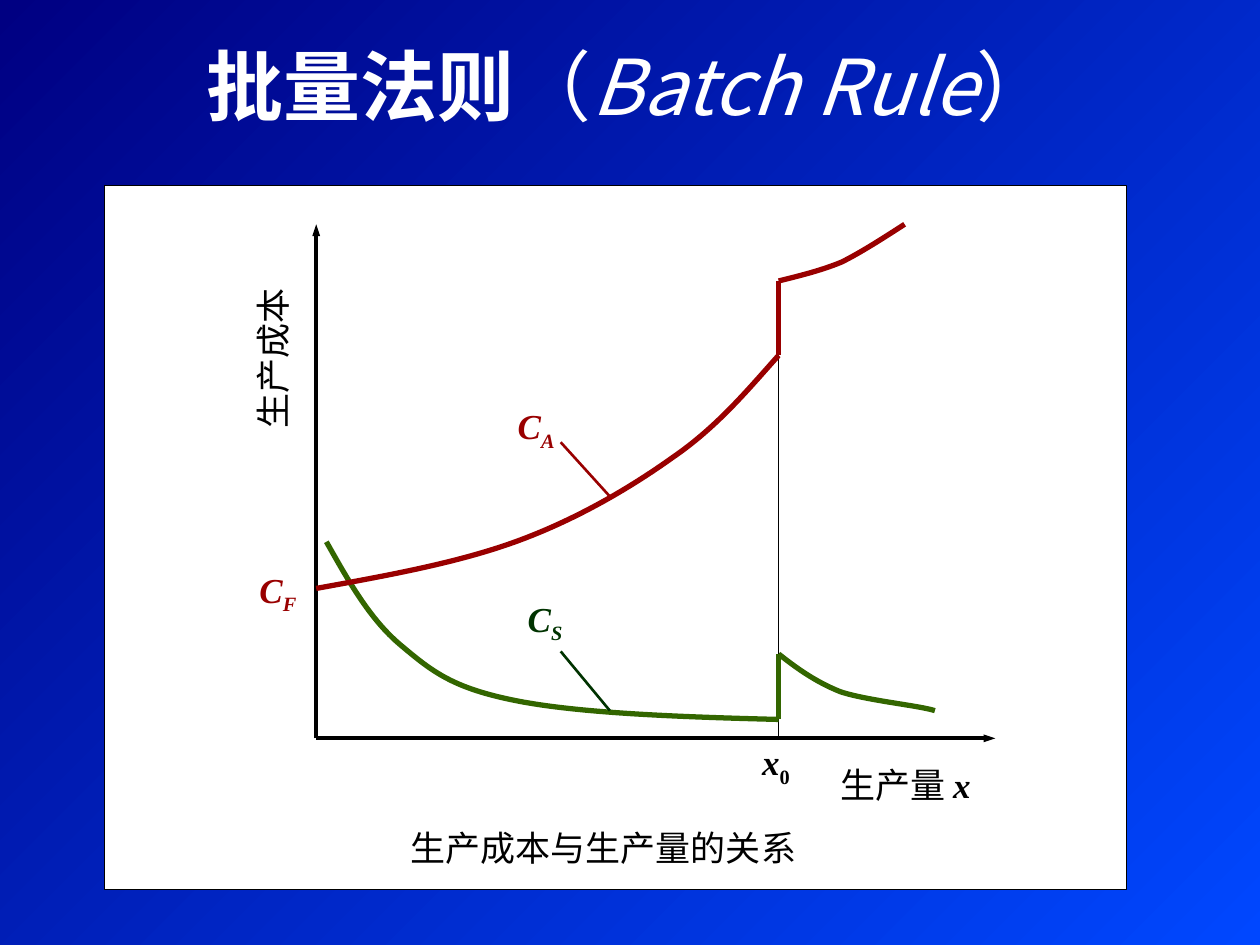
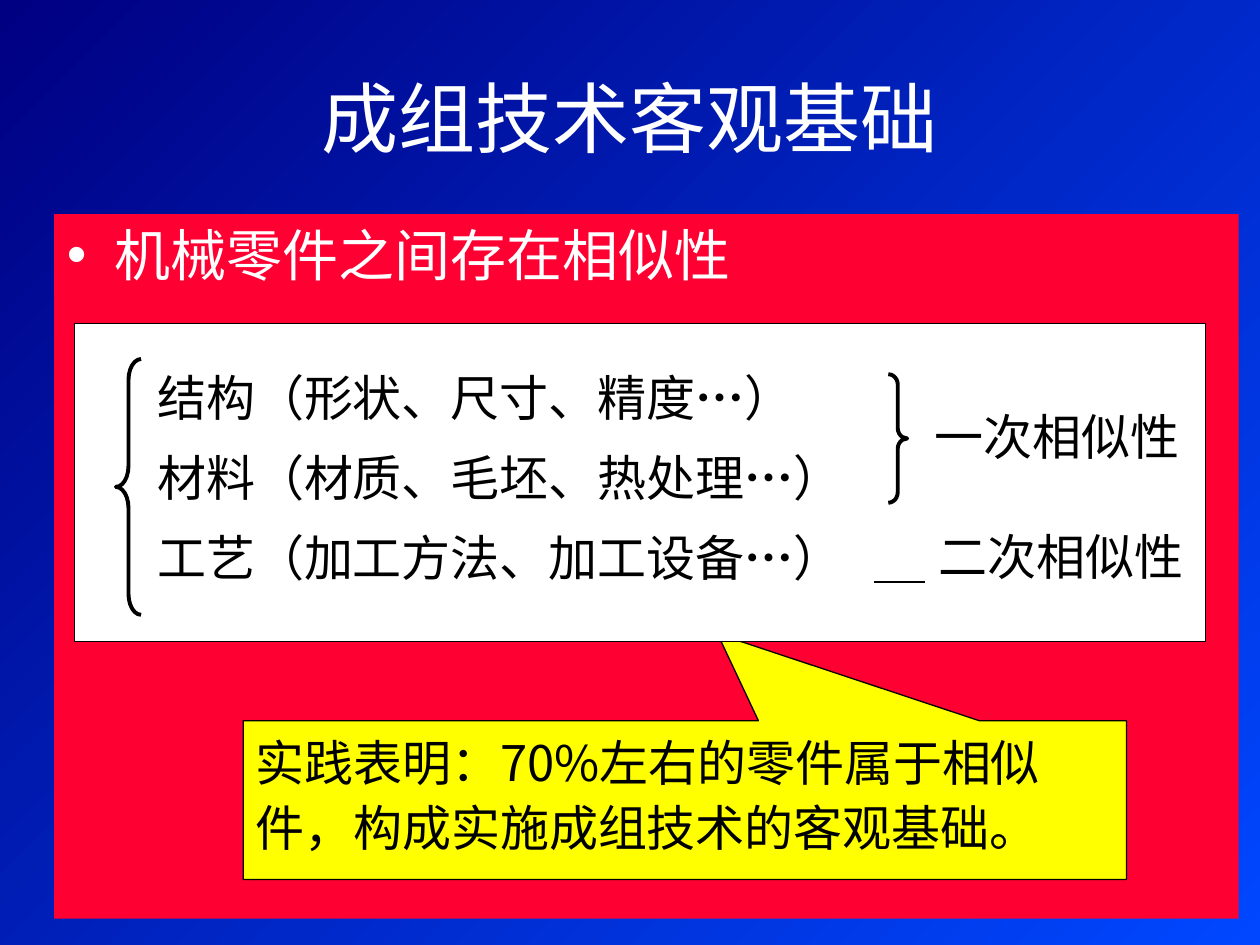
from lxml.etree import SubElement
from pptx import Presentation
from pptx.dml.color import RGBColor
from pptx.enum.shapes import MSO_CONNECTOR, MSO_SHAPE
from pptx.enum.text import MSO_ANCHOR, MSO_AUTO_SIZE, PP_ALIGN
from pptx.oxml.ns import qn
from pptx.util import Inches, Pt

NAVY = RGBColor(0x00, 0x00, 0x82)
BLUE = RGBColor(0x00, 0x47, 0xFF)
WHITE = RGBColor(0xFF, 0xFF, 0xFF)
BLACK = RGBColor(0x00, 0x00, 0x00)
RED = RGBColor(0xFF, 0x00, 0x33)
YELLOW = RGBColor(0xFF, 0xFF, 0x00)
WINE = RGBColor(0x99, 0x00, 0x00)
GREEN = RGBColor(0x33, 0x66, 0x00)
PINE = RGBColor(0x00, 0x33, 0x00)
HAN = "Noto Sans CJK SC"
ROMAN = "Times New Roman"


def write(par, runs, size, color=BLACK, name=ROMAN, align=None, spacing=None):
    for text, style in runs:
        run = par.add_run()
        run.text = text
        if "b" in style:
            run.font.bold = True
        if "i" in style:
            run.font.italic = True
        if "s" in style:
            run.font._element.set("baseline", "-25000")
    if align is not None:
        par.alignment = align
    if spacing:
        par.line_spacing = spacing
    par._p.get_or_add_pPr().set("hangingPunct", "0")
    font = par.font
    font.size, font.name, font.color.rgb = Pt(size), name, color
    SubElement(font._element, qn("a:ea"), typeface=HAN)


def place(shape, left, top, width, height):
    shape.left, shape.top = Inches(left), Inches(top)
    shape.width, shape.height = Inches(width), Inches(height)


def stroke(shape, color, width):
    shape.line.color.rgb = color
    shape.line.width = Pt(width)


def bend(shape):
    track = shape._element.find(".//" + qn("a:path"))
    lines = track.findall(qn("a:lnTo"))
    for k in range(0, len(lines), 3):
        cubic = SubElement(track, qn("a:cubicBezTo"))
        for line in lines[k:k + 3]:
            cubic.append(line[0])
            track.remove(line)


class Pane:
    def __init__(self, slide, left, top):
        self.shapes, self.left, self.top = slide.shapes, left, top

    def spot(self, x, y):
        return Inches(self.left + x), Inches(self.top + y)

    def shape(self, kind, x, y, width, height, fill=None, line=0.75, adjust=()):
        shape = self.shapes.add_shape(kind, *self.spot(x, y), Inches(width), Inches(height))
        shape.shadow.inherit = False
        if fill is None:
            shape.fill.background()
        else:
            shape.fill.solid()
            shape.fill.fore_color.rgb = fill
        stroke(shape, BLACK, line)
        for k, value in enumerate(adjust):
            shape.adjustments[k] = value
        return shape

    def text(self, x, y, width, height, lines, size, wrap=True, gap=0, **style):
        box = self.shapes.add_textbox(*self.spot(x, y), Inches(width), Inches(height))
        frame = box.text_frame
        frame.word_wrap = wrap
        for k, runs in enumerate(lines):
            par = frame.add_paragraph() if k else frame.paragraphs[0]
            if k:
                par.space_before = Pt(gap)
            write(par, runs, size, **style)
        return box

    def line(self, start, end, color=BLACK, width=0.75, arrow=False):
        line = self.shapes.add_connector(MSO_CONNECTOR.STRAIGHT,
                                         *self.spot(*start), *self.spot(*end))
        stroke(line, color, width)
        if arrow:
            SubElement(line.line._get_or_add_ln(), qn("a:tailEnd"), type="triangle", w="sm")
        SubElement(line._element.spPr, qn("a:effectLst"))

    def curve(self, start, points, color):
        pen = self.shapes.build_freeform(*self.spot(*start), scale=1)
        pen.add_line_segments([self.spot(*p) for p in points], close=False)
        shape = pen.convert_to_shape()
        bend(shape)
        shape.shadow.inherit = False
        shape.fill.background()
        stroke(shape, color, 3)


def title(slide, top, runs):
    head = slide.shapes.title
    place(head, 0.5, top, 9, 1.25)
    frame = head.text_frame
    frame.auto_size = MSO_AUTO_SIZE.NONE
    frame.vertical_anchor = MSO_ANCHOR.MIDDLE
    write(frame.paragraphs[0], runs, 44, WHITE, HAN, PP_ALIGN.CENTER)


def plot(slide, left, top):
    pane = Pane(slide, left, top)
    pane.shape(MSO_SHAPE.RECTANGLE, 0, 0, 8.11, 5.59, WHITE)
    zero, base, jump = 1.68, 4.39, 5.35
    pane.line((zero, base), (7.07, base), width=2.25, arrow=True)
    pane.line((zero, base), (zero, 0.31), width=2.25, arrow=True)
    pane.line((jump, 0.76), (jump, base))

    pane.curve((1.76, 2.83), [(1.93, 3.13), (2.1, 3.44), (2.35, 3.65),
                              (2.6, 3.86), (2.76, 3.99), (3.26, 4.09),
                              (3.76, 4.19), (4.55, 4.22), (jump, 4.24)], GREEN)
    pane.curve((jump, 3.72), [(5.49, 3.83), (5.64, 3.94), (5.84, 4.02),
                              (6.05, 4.09), (6.47, 4.13), (6.59, 4.17)], GREEN)
    pane.curve((zero, 3.2), [(2.23, 3.1), (2.79, 3), (3.26, 2.83),
                             (3.73, 2.66), (4.16, 2.41), (4.51, 2.16),
                             (4.86, 1.92), (5.1, 1.63), (jump, 1.35)], WINE)
    pane.curve((jump, 0.76), [(5.51, 0.72), (5.68, 0.68), (5.85, 0.61),
                              (6.01, 0.53), (6.18, 0.42), (6.35, 0.31)], WINE)
    for low, high, color in ((4.24, 3.72, GREEN), (1.35, 0.76, WINE)):
        pane.line((jump, low), (jump, high), color, 3)

    pane.text(5.74, 4.54, 1.5, 0.44, [[("生产量 ", ""), ("x", "bi")]], 20)
    side = pane.text(0.68, 1.08, 1.29, 0.45, [[("生产成本", "")]], 20, spacing=1.05)
    side.text_frame.margin_left = side.text_frame.margin_right = Inches(0.02)
    side.rotation = 270
    pane.text(5.12, 4.36, 0.42, 0.48, [[("x", "bi"), ("0", "bs")]], 20, wrap=False)
    pane.text(2.33, 5.04, 3.26, 0.44, [[("生产成本与生产量的关系", "")]], 20, wrap=False)

    for x, y, mark, color in ((3.15, 1.69, "A", WINE), (3.22, 3.22, "S", PINE),
                              (1.1, 2.99, "F", WINE)):
        pane.text(x, y, 0.55, 0.48, [[("C", "bi"), (mark, "bis")]], 20,
                  color=color, align=PP_ALIGN.CENTER)
    for low, high, color in ((2.47, 2.04, WINE), (4.17, 3.7, PINE)):
        pane.line((4.01, low), (3.62, high), color, 1.5)


def body(slide, left, top):
    shape = slide.placeholders[1]
    place(shape, left, top, 9.4, 5.59)
    shape.fill.solid()
    shape.fill.fore_color.rgb = RED
    frame = shape.text_frame
    frame.auto_size = MSO_AUTO_SIZE.NONE
    par = frame.paragraphs[0]
    par.space_before = Pt(0)
    write(par, [("机械零件之间存在相似性", "")], 32, WHITE, "Arial")


def callout(slide, left, top):
    wide, high = 7.01, 1.26
    shape = Pane(slide, left, top).shape(MSO_SHAPE.RECTANGULAR_CALLOUT, 0, 0, wide, high,
                                         YELLOW, adjust=(0.26 / wide, -1.32 / high))
    frame = shape.text_frame
    frame.word_wrap = True
    frame.vertical_anchor = MSO_ANCHOR.TOP
    words = "实践表明：70%左右的零件属于相似件，构成实施成组技术的客观基础。"
    write(frame.paragraphs[0], [(words, "")], 28, name=HAN, align=PP_ALIGN.LEFT, spacing=1.1)


def board(slide, left, top):
    pane = Pane(slide, left, top)
    pane.shape(MSO_SHAPE.RECTANGLE, 0, 0, 8.98, 2.52, WHITE)
    items = ("结构（形状、尺寸、精度", "材料（材质、毛坯、热处理", "工艺（加工方法、加工设备")
    pane.text(0.56, 0.25, 5.86, 1.89,
              [[(item, ""), ("…", "b"), ("）", "")] for item in items],
              28, gap=8.8, spacing=1.1)
    pane.shape(MSO_SHAPE.LEFT_BRACE, 0.33, 0.28, 0.2, 2.03, line=2.25, adjust=(0.83, 0.5))
    pane.shape(MSO_SHAPE.RIGHT_BRACE, 6.46, 0.4, 0.15, 1.02, line=2.25, adjust=(0.55, 0.5))
    for x, y, label in ((6.73, 0.56, "一次相似性"), (6.76, 1.51, "二次相似性")):
        pane.text(x, y, 2.14, 0.62, [[(label, "")]], 28, wrap=False, spacing=1.1)
    pane.line((6.35, 2.05), (6.75, 2.05))


def backdrop(deck):
    fill = deck.slide_master.background.fill
    fill.gradient()
    fill.gradient_angle = 315
    for stop, color in zip(fill.gradient_stops, (NAVY, BLUE)):
        stop.color.rgb = color


def main():
    deck = Presentation()
    deck.slide_width, deck.slide_height = Inches(10), Inches(7.5)
    backdrop(deck)

    batch = deck.slides.add_slide(deck.slide_layouts[5])
    title(batch, 0.05, [("批量法则", "b"), ("（", ""), ("Batch Rule", "i"), ("）", "")])
    plot(batch, 0.83, 1.47)

    group = deck.slides.add_slide(deck.slide_layouts[1])
    title(group, 0.3, [("成组技术客观基础", "")])
    body(group, 0.43, 1.7)
    callout(group, 1.93, 5.72)
    board(group, 0.59, 2.57)

    deck.save("out.pptx")


if __name__ == "__main__":
    main()
